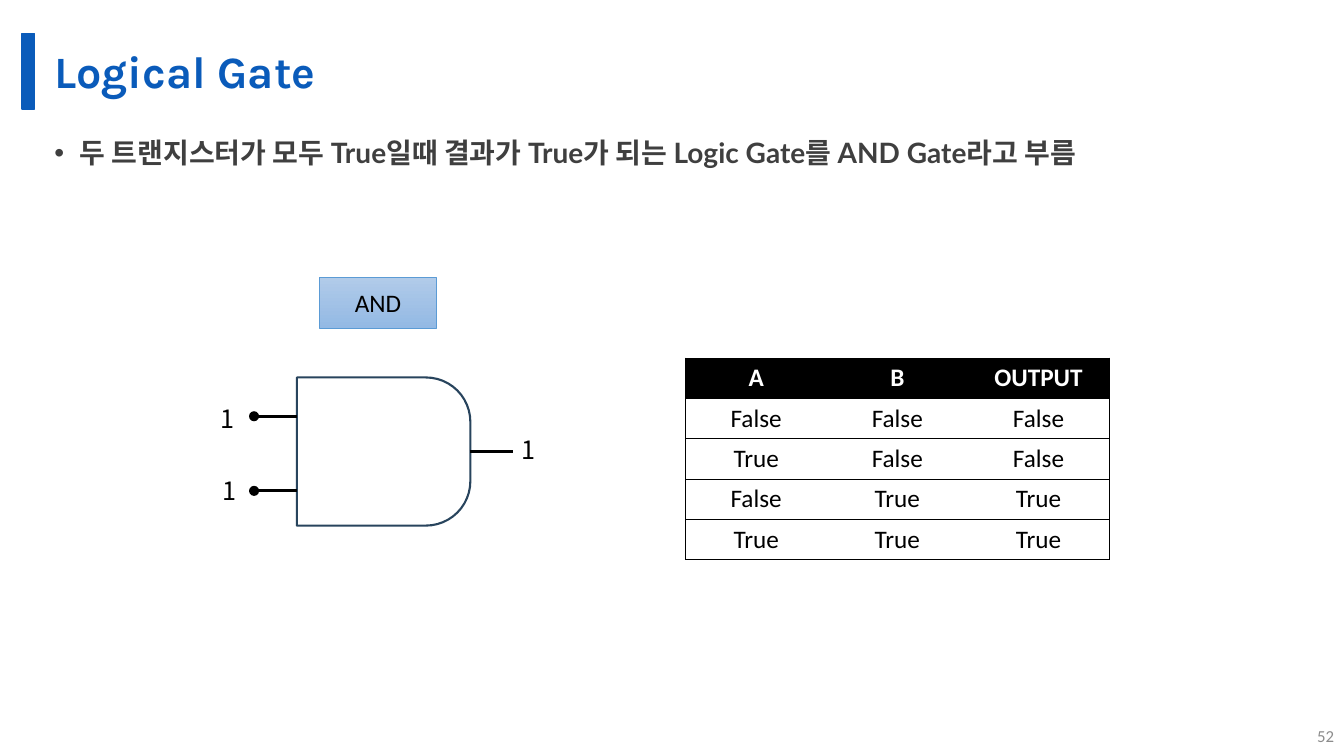
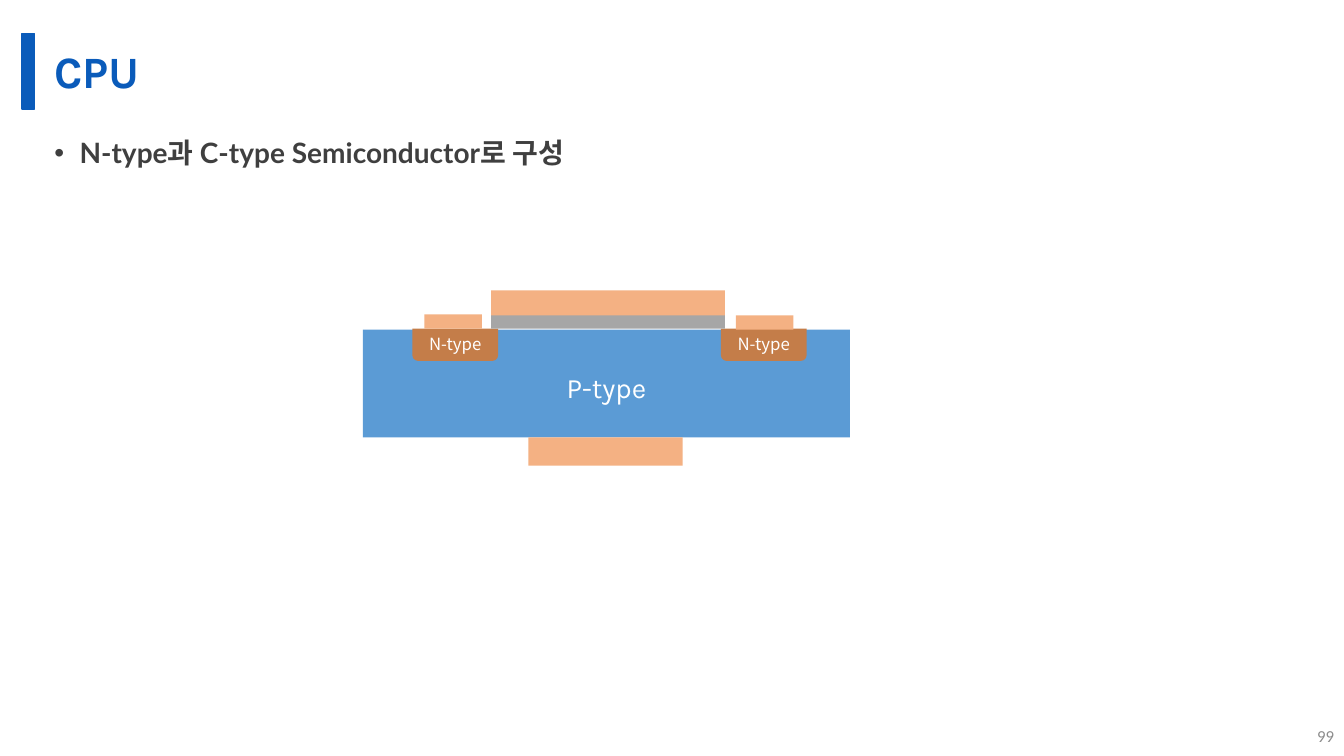
from lxml import etree
from pptx import Presentation
from pptx.dml.color import RGBColor
from pptx.enum.shapes import MSO_CONNECTOR, MSO_SHAPE
from pptx.enum.text import MSO_ANCHOR, PP_ALIGN
from pptx.oxml.ns import qn
from pptx.util import Inches, Pt

RECTANGLE = MSO_SHAPE.RECTANGLE
ROUND_TWO = MSO_SHAPE.ROUND_2_SAME_RECTANGLE
OVAL = MSO_SHAPE.OVAL
STRAIGHT = MSO_CONNECTOR.STRAIGHT
LEFT, CENTER, RIGHT = PP_ALIGN.LEFT, PP_ALIGN.CENTER, PP_ALIGN.RIGHT
TOP, MIDDLE = MSO_ANCHOR.TOP, MSO_ANCHOR.MIDDLE

BLUE = RGBColor(0x0A, 0x5B, 0xBA)
DARK_GREY = RGBColor(0x3F, 0x3F, 0x3F)
PAGE_GREY = RGBColor(0x8C, 0x8C, 0x8C)
BLACK = RGBColor(0x00, 0x00, 0x00)
WHITE = RGBColor(0xFF, 0xFF, 0xFF)
GATE_LINE = RGBColor(0x28, 0x44, 0x5D)
SILICON = RGBColor(0x5B, 0x9B, 0xD5)
LABEL_TOP = RGBColor(0xB1, 0xCB, 0xE9)
LABEL_BOTTOM = RGBColor(0x93, 0xB9, 0xE4)
METAL = RGBColor(0xF4, 0xB1, 0x83)
WELL = RGBColor(0xC4, 0x7D, 0x49)
OXIDE = RGBColor(0xA6, 0xA6, 0xA6)

TITLE_FONT, BODY_FONT, PLAIN_FONT = "Karla", "Lato", "Calibri"
KOREAN_FONT = "Noto Sans CJK KR"


def add_shape(slide, kind, left, top, width, height, fill=None):
    """Add a preset shape without shadow or line; no fill means hollow."""
    shape = slide.shapes.add_shape(
        kind, Inches(left), Inches(top), Inches(width), Inches(height))
    shape.shadow.inherit = False
    shape.line.fill.background()
    if fill is None:
        shape.fill.background()
    else:
        shape.fill.solid()
        shape.fill.fore_color.rgb = fill
    return shape


def set_text(holder, text, size, font, color, align=LEFT, anchor=TOP, bold=False):
    """Fill a shape, text box or cell with one styled paragraph and return it."""
    holder.vertical_anchor = anchor
    paragraph = holder.text_frame.paragraphs[0]
    paragraph.text = text
    paragraph.alignment = align
    run_font = paragraph.runs[0].font
    run_font.size, run_font.name, run_font.bold = Pt(size), font, bold
    run_font.color.rgb = color
    east_asian = etree.SubElement(paragraph.runs[0].font._element, qn("a:ea"))
    east_asian.set("typeface", KOREAN_FONT)
    return paragraph


presentation = Presentation()
presentation.slide_width = Inches(13.33)
presentation.slide_height = Inches(7.5)

# Shared frame: accent bar, title, bullet and page number
pages = [
    ("Logical Gate",
     "두 트랜지스터가 모두 True일때 결과가 True가 되는 Logic Gate를 AND Gate라고 부름",
     "52"),
    ("CPU", "N-type과 C-type Semiconductor로 구성", "99"),
]
slides = []
for title, bullet, number in pages:
    slide = presentation.slides.add_slide(presentation.slide_layouts[6])
    slides.append(slide)
    bar = add_shape(slide, RECTANGLE, 0.22, 0.33, 0.12, 0.75, BLUE)
    bar.line.color.rgb = BLUE
    bar.line.width = Pt(1)

    frames = []
    for left, top, width, height in [
        (0.44, 0.33, 12.45, 0.75), (0.44, 1.25, 12.45, 5.92), (12.89, 7.1, 0.44, 0.4),
    ]:
        box = slide.shapes.add_textbox(
            Inches(left), Inches(top), Inches(width), Inches(height))
        box.text_frame.word_wrap = True
        frames.append(box)
    title_box, body_box, number_box = frames

    title_box.text_frame.margin_bottom = 0
    paragraph = set_text(title_box.text_frame._parent, title, 32, TITLE_FONT, BLUE, bold=True)
    paragraph.line_spacing = 0.9
    title_box.text_frame.vertical_anchor = MIDDLE

    paragraph = set_text(body_box, bullet, 20, BODY_FONT, DARK_GREY, bold=True)
    paragraph.line_spacing = 1.14
    paragraph.space_after = Pt(3)
    properties = paragraph._p.get_or_add_pPr()
    properties.set("marL", str(Inches(0.25)))
    properties.set("indent", str(-Inches(0.25)))
    etree.SubElement(properties, qn("a:buFont")).set("typeface", "Arial")
    etree.SubElement(properties, qn("a:buChar")).set("char", "•")

    set_text(number_box, number, 12, PLAIN_FONT, PAGE_GREY, RIGHT)
    number_box.text_frame.vertical_anchor = MIDDLE

gate_slide, cpu_slide = slides

# Truth table
truth_rows = [
    ("A", "B", "OUTPUT"),
    ("False", "False", "False"),
    ("True", "False", "False"),
    ("False", "True", "True"),
    ("True", "True", "True"),
]
table = gate_slide.shapes.add_table(
    len(truth_rows), 3, Inches(6.8), Inches(3.55), Inches(4.2), Inches(2)).table
for row_index, values in enumerate(truth_rows):
    header = row_index == 0
    for column_index, value in enumerate(values):
        cell = table.cell(row_index, column_index)
        set_text(cell, value, 18, PLAIN_FONT, WHITE if header else BLACK, CENTER, bold=header)
        properties = cell._tc.get_or_add_tcPr()
        sides = {"lnL": column_index == 0, "lnR": column_index == 2,
                 "lnT": True, "lnB": True}
        for side, visible in sides.items():
            border = etree.SubElement(properties, qn("a:" + side), w=str(Pt(0.5)))
            if visible:
                solid = etree.SubElement(border, qn("a:solidFill"))
                etree.SubElement(solid, qn("a:srgbClr"), val=str(BLACK))
            else:
                etree.SubElement(border, qn("a:noFill"))
        if header:
            cell.fill.solid()
            cell.fill.fore_color.rgb = BLACK
        else:
            cell.fill.background()

# AND gate with its wires
gate = add_shape(gate_slide, ROUND_TWO, 3.07, 3.62, 1.47, 1.72)
gate.rotation = 90
gate.adjustments[0] = 0.3
gate.line.color.rgb = GATE_LINE
gate.line.width = Pt(1.5)

INPUT_LEFT, INPUT_YS, DOT = 2.52, (4.13, 4.87), 0.1
wires = [(INPUT_LEFT, y) for y in INPUT_YS] + [(4.66, 4.48)]
for x, y in wires:
    wire = gate_slide.shapes.add_connector(
        STRAIGHT, Inches(x), Inches(y), Inches(x + 0.43), Inches(y))
    wire.line.color.rgb = BLACK
    wire.line.width = Pt(2.25)
    etree.SubElement(wire._element.spPr, qn("a:effectLst"))
for y in INPUT_YS:
    add_shape(gate_slide, OVAL, INPUT_LEFT - DOT / 2, y - DOT / 2, DOT, DOT, BLACK)

label = add_shape(gate_slide, RECTANGLE, 3.17, 2.75, 1.16, 0.51)
label.fill.gradient()
label.fill.gradient_angle = 270
for stop, color in zip(label.fill.gradient_stops, (LABEL_TOP, LABEL_BOTTOM)):
    stop.color.rgb = color
label.line.color.rgb = SILICON
label.line.width = Pt(0.5)
set_text(label, "AND", 18, PLAIN_FONT, BLACK, CENTER)
label.text_frame.vertical_anchor = MIDDLE

for left, top in [(2.09, 3.95), (2.11, 4.67), (5.07, 4.26)]:
    box = gate_slide.shapes.add_textbox(Inches(left), Inches(top), Inches(0.36), Inches(0.4))
    box.text_frame.word_wrap = True
    set_text(box, "1", 18, KOREAN_FONT, BLACK)

# Transistor cross-section
substrate = add_shape(cpu_slide, RECTANGLE, 3.6, 3.27, 4.83, 1.07, SILICON)
substrate.text_frame.margin_top = Inches(0.12)
set_text(substrate, "P-type", 20, TITLE_FONT, WHITE, CENTER)
substrate.text_frame.vertical_anchor = MIDDLE

for left in (4.09, 7.15):
    well = add_shape(cpu_slide, ROUND_TWO, left, 3.26, 0.85, 0.32, WELL)
    well.adjustments[0] = 0
    well.adjustments[1] = 0.17
    well.text_frame.word_wrap = False
    set_text(well, "N-type", 12, KOREAN_FONT, WHITE, CENTER)
    well.text_frame.vertical_anchor = MIDDLE

for left, top, width, height, color in [
    (5.24, 4.34, 1.53, 0.28, METAL),
    (4.87, 2.88, 2.32, 0.28, METAL),
    (4.87, 3.13, 2.32, 0.13, OXIDE),
    (4.21, 3.12, 0.57, 0.14, METAL),
    (7.3, 3.13, 0.57, 0.14, METAL),
]:
    add_shape(cpu_slide, RECTANGLE, left, top, width, height, color)

presentation.save("out.pptx")
